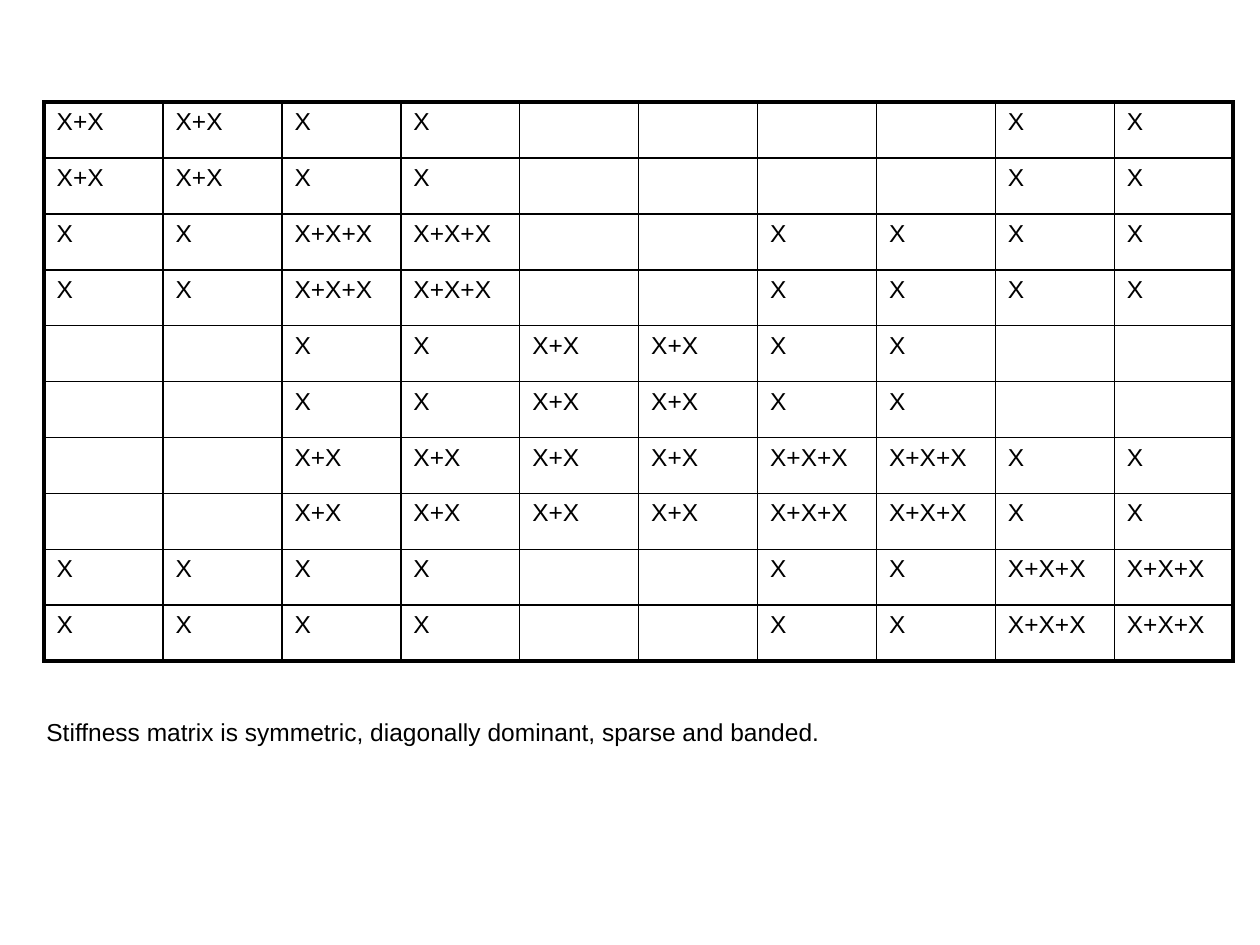
from lxml import etree
from pptx import Presentation
from pptx.dml.color import RGBColor
from pptx.oxml.ns import qn
from pptx.util import Inches, Pt

BLACK = "000000"
INNER, OUTER = Pt(1), Pt(2.25)
DOFS_PER_NODE = 2

# Number of element contributions coupling each pair of nodes
NODE_COUPLING = [
    [2, 1, 0, 0, 1],
    [1, 3, 0, 1, 1],
    [0, 1, 2, 1, 0],
    [0, 2, 2, 3, 1],
    [1, 1, 0, 1, 3],
]


def color(hex_string):
    return RGBColor.from_string(hex_string)


def write(text_frame, text):
    text_frame.text = text
    for run in text_frame.paragraphs[0].runs:
        run.font.name = "Arial"
        run.font.size = Pt(14)
        run.font.color.rgb = color(BLACK)


def add_border(cell, side, width):
    line = etree.SubElement(cell._tc.get_or_add_tcPr(), qn(f"a:ln{side}"), w=str(width))
    fill = etree.SubElement(line, qn("a:solidFill"))
    etree.SubElement(fill, qn("a:srgbClr"), val=BLACK)


def add_stiffness_matrix(slide, left, top, width, height):
    size = len(NODE_COUPLING) * DOFS_PER_NODE
    matrix = slide.shapes.add_table(size, size, left, top, width, height).table
    matrix.first_row = matrix.horz_banding = False
    last = size - 1
    for row in range(size):
        for col in range(size):
            cell = matrix.cell(row, col)
            count = NODE_COUPLING[row // DOFS_PER_NODE][col // DOFS_PER_NODE]
            write(cell.text_frame, "+".join("X" * count))
            on_edge = {"L": col == 0, "R": col == last, "T": row == 0, "B": row == last}
            for side, outer in on_edge.items():
                add_border(cell, side, OUTER if outer else INNER)
            cell.fill.background()


def add_caption(slide, left, top, width, height):
    caption = slide.shapes.add_textbox(left, top, width, height).text_frame
    caption.word_wrap = True
    write(caption, "Stiffness matrix is symmetric, diagonally dominant, sparse and banded.")


def main():
    prs = Presentation()
    prs.slide_width, prs.slide_height = Inches(10), Inches(7.5)
    slide = prs.slides.add_slide(prs.slide_layouts[6])
    add_stiffness_matrix(slide, Inches(0.35), Inches(0.81), Inches(9.44), Inches(4.44))
    add_caption(slide, Inches(0.27), Inches(5.64), Inches(9.43), Inches(0.33))
    prs.save("out.pptx")


if __name__ == "__main__":
    main()
